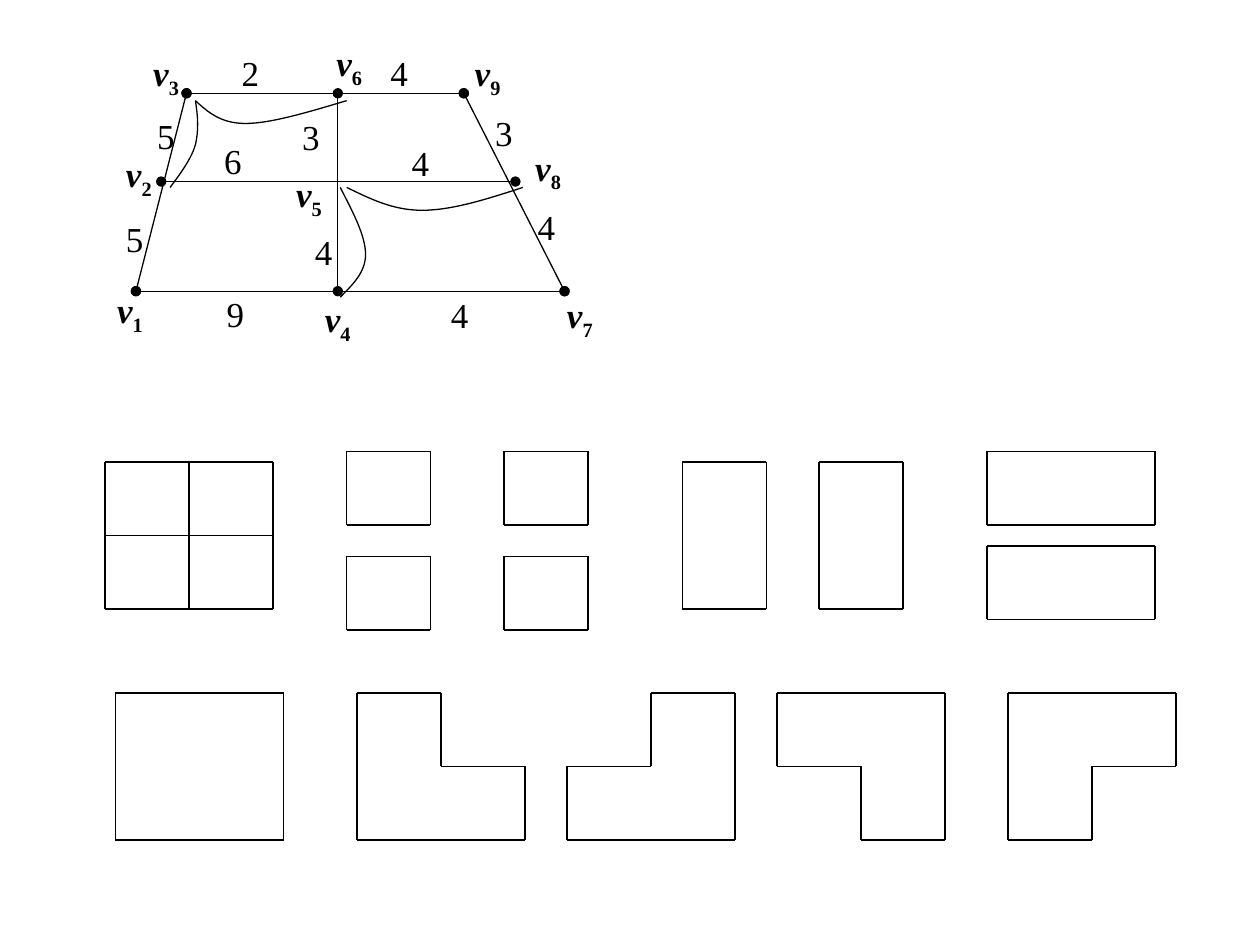
"""Draw a weighted graph above the ways to merge a two by two grid."""
from lxml import etree
from pptx import Presentation
from pptx.dml.color import RGBColor
from pptx.enum.shapes import MSO_CONNECTOR
from pptx.enum.text import PP_ALIGN
from pptx.oxml.ns import qn
from pptx.util import Cm, Pt

LINE = MSO_CONNECTOR.STRAIGHT
JUST = PP_ALIGN.JUSTIFY
UNIT = 2.54 / 12
WIDE, TALL = 8, 7
LEFT, MID = 2.74, 6.81
TOP, HALF, BASE = 1.88, 3.66, 5.87

EDGES = [
    (3.25, HALF, 10.39, HALF), (3.76, TOP, 9.35, TOP),
    (LEFT, BASE, 11.38, BASE), (11.38, BASE, 9.35, TOP),
    (3.76, TOP, LEFT, BASE), (MID, TOP, MID, BASE),
]
NODES = [
    (2.11, 5.69), (2.29, 2.95), (2.84, 0.91), (6.3, 5.87), (5.72, 3.35),
    (6.53, 0.71), (11.18, 5.79), (10.54, 2.82), (9.32, 0.91),
]
COSTS = [
    ("2", 4.62, 0.91), ("4", 7.62, 0.91), ("3", 9.73, 2.13),
    ("4", 10.59, 4.01), ("4", 8.84, 5.79), ("9", 4.32, 5.77),
    ("5", 2.29, 4.27), ("5", 2.92, 2.18), ("6", 4.27, 2.69),
    ("4", 8.05, 2.72), ("3", 5.84, 2.21), ("4", 6.1, 4.52),
]
CURVES = [
    [(6.86, 3.78), (7.11, 4.27), (7.37, 4.75), (7.37, 5.13),
     (7.37, 5.49), (7.11, 5.74), (6.86, 5.99)],
    [(3.43, 3.78), (3.63, 3.51), (3.86, 3.2), (3.94, 2.92),
     (4.01, 2.62), (3.99, 2.34), (3.94, 2.03)],
    [(3.94, 2.03), (4.19, 2.26), (4.45, 2.49), (4.95, 2.49),
     (5.46, 2.49), (6.22, 2.26), (6.99, 2.03)],
    [(6.99, 3.78), (7.47, 4.01), (7.92, 4.24), (8.51, 4.24),
     (9.12, 4.24), (9.83, 4.01), (10.54, 3.78)],
]
TILES = [
    (10, 44, ["ab", "cd"]),
    (33, 43, ["a"]), (48, 43, ["a"]), (33, 53, ["a"]), (48, 53, ["a"]),
    (65, 44, ["a", "a"]), (78, 44, ["a", "a"]),
    (94, 43, ["aa"]), (94, 52, ["aa"]),
    (11, 66, ["aa", "aa"]), (34, 66, ["a.", "aa"]), (54, 66, [".a", "aa"]),
    (74, 66, ["aa", ".a"]), (96, 66, ["aa", "a."]),
]


def paint(tint):
    return RGBColor.from_string(tint)


class Pen:
    def __init__(self, slide):
        self.slide = slide
        self.ink = "000000"
        self.face = {"name": "Times New Roman", "size": Pt(20)}
        self.width = Pt(0.75)
        self.group()

    def group(self):
        self.shapes = self.slide.shapes.add_group_shape().shapes

    def stroke(self, shape):
        shape.line.color.rgb = paint(self.ink)
        shape.line.width = self.width

    def line(self, x1, y1, x2, y2, dots=False):
        link = self.shapes.add_connector(LINE, Cm(x1), Cm(y1), Cm(x2), Cm(y2))
        self.stroke(link)
        if dots:
            for end in ("a:headEnd", "a:tailEnd"):
                etree.SubElement(link.line._get_or_add_ln(), qn(end), type="oval")
        etree.SubElement(link._element.spPr, qn("a:effectLst"))

    def label(self, x, y, runs, width=1.52):
        frame = self.shapes.add_textbox(Cm(x), Cm(y), Cm(width), Cm(1.32)).text_frame
        frame.word_wrap = True
        para = frame.paragraphs[0]
        para.alignment = JUST
        for text, look, shift in runs:
            run = para.add_run()
            run.text = text
            for key, value in {**self.face, **look}.items():
                setattr(run.font, key, value)
            run.font.color.rgb = paint(self.ink)
            if shift:
                run._r.get_or_add_rPr().set("baseline", shift)

    def curve(self, points):
        first, *rest = [(Cm(x), Cm(y)) for x, y in points]
        form = self.shapes.build_freeform(*first)
        form.add_line_segments(rest, close=False)
        shape = form.convert_to_shape()
        shape.shadow.inherit = False
        shape.fill.background()
        self.stroke(shape)
        steps = list(shape._element.iter(qn("a:lnTo")))
        for i in range(0, len(steps), 3):
            bend = etree.Element(qn("a:cubicBezTo"))
            steps[i].addprevious(bend)
            for step in steps[i:i + 3]:
                bend.append(step[0])
                step.getparent().remove(step)

    def tile(self, left, top, rows):
        def cell(r, c):
            inside = 0 <= r < len(rows) and 0 <= c < len(rows[0])
            return rows[r][c] if inside else "."

        for r in range(len(rows) + 1):
            for c in range(len(rows[0]) + 1):
                x, y = (left + c * WIDE) * UNIT, (top + r * TALL) * UNIT
                if cell(r, c) != cell(r - 1, c):
                    self.line(x, y, x + WIDE * UNIT, y)
                if cell(r, c) != cell(r, c - 1):
                    self.line(x, y, x, y + TALL * UNIT)


def main():
    deck = Presentation()
    deck.slide_width, deck.slide_height = Cm(25.4), Cm(19.05)
    pen = Pen(deck.slides.add_slide(deck.slide_layouts[6]))
    for edge in EDGES:
        pen.line(*edge, dots=True)
    for i, (x, y) in enumerate(NODES, 1):
        runs = [("v", {"bold": True, "italic": True}, None),
                (str(i), {"bold": True}, "-25000")]
        pen.label(x, y, runs, 2.03 if i in (1, 3) else 1.52)
    for cost, x, y in COSTS:
        pen.label(x, y, [(cost, {}, None)])
    for points in CURVES:
        pen.curve(points)
    pen.group()
    for tile in TILES:
        pen.tile(*tile)
    deck.save("out.pptx")


if __name__ == "__main__":
    main()
